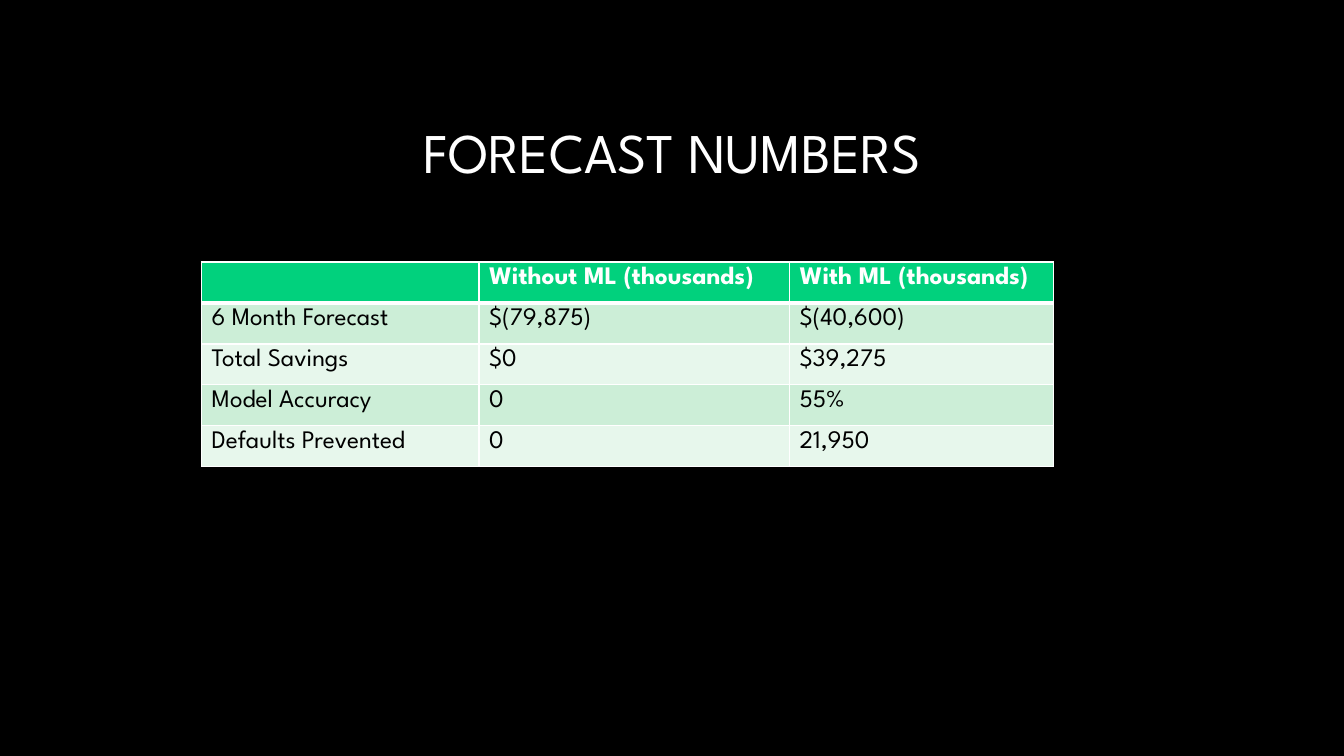
from dataclasses import dataclass

from lxml import etree
from pptx import Presentation
from pptx import util as u
from pptx.dml import color as c
from pptx.enum import text as t
from pptx.oxml import ns


@dataclass(frozen=True)
class Theme:
    """Colours, type sizes and line widths of the slide."""
    face: str = "League Spartan"
    back: str = "000000"
    ink: str = "000000"
    light: str = "FFFFFF"
    head: str = "01D17D"
    bands: tuple = ("CCEED7", "E7F7EC")
    title: int = 40
    body: int = 18
    thin: int = 1
    thick: int = 3


THEME = Theme()
TITLE = "FORECAST NUMBERS"
WIDTHS = (2.75, 3.08, 2.62)
ROWS = (
    ("", "Without ML (thousands)", "With ML (thousands)"),
    ("6 Month Forecast", "$(79,875)", "$(40,600)"),
    ("Total Savings", "$0", "$39,275"),
    ("Model Accuracy", "0", "55%"),
    ("Defaults Prevented", "0", "21,950"),
)


def apply(item, values):
    """Set each attribute of item from a dict."""
    for name, value in values.items():
        setattr(item, name, value)


def paint(fill, tint):
    """Give a fill one solid colour."""
    fill.solid()
    fill.fore_color.rgb = c.RGBColor.from_string(tint)


def write(para, words, tint, size, bold=False):
    """Add one formatted run to a paragraph."""
    run = para.add_run()
    run.text = words
    apply(run.font, {"name": THEME.face, "size": u.Pt(size), "bold": bold})
    run.font.color.rgb = c.RGBColor.from_string(tint)


def edge(cell, side, width):
    """Draw one border of a cell."""
    props = cell._tc.get_or_add_tcPr()
    line = etree.SubElement(props, ns.qn(f"a:ln{side}"), w=str(u.Pt(width)))
    solid = etree.SubElement(line, ns.qn("a:solidFill"))
    etree.SubElement(solid, ns.qn("a:srgbClr"), val=THEME.light)


def add_title(slide, box):
    """Place the title in its box."""
    shape = slide.shapes.title
    apply(shape, dict(zip(("left", "top", "width", "height"), map(u.Inches, box))))
    frame = shape.text_frame
    apply(frame, {"word_wrap": True, "auto_size": t.MSO_AUTO_SIZE.NONE,
                  "vertical_anchor": t.MSO_ANCHOR.MIDDLE})
    para = frame.paragraphs[0]
    apply(para, {"alignment": t.PP_ALIGN.CENTER, "line_spacing": 0.9})
    write(para, TITLE, THEME.light, THEME.title)


def add_grid(slide, box):
    """Place the forecast table in its box."""
    grid = slide.shapes.add_table(len(ROWS), len(WIDTHS), *map(u.Inches, box)).table
    for col, width in zip(grid.columns, WIDTHS):
        col.width = u.Inches(box[2] * width / sum(WIDTHS))
    for r, row in enumerate(ROWS):
        head = r == 0
        tint = THEME.head if head else THEME.bands[(r - 1) % 2]
        widths = {"L": THEME.thin, "R": THEME.thin,
                  "T": THEME.thick if r == 1 else THEME.thin,
                  "B": THEME.thick if head else THEME.thin}
        for i, words in enumerate(row):
            cell = grid.cell(r, i)
            for side, width in widths.items():
                edge(cell, side, width)
            paint(cell.fill, tint)
            if words:
                write(cell.text_frame.paragraphs[0], words,
                      THEME.light if head else THEME.ink, THEME.body, head)


def main():
    """Build and save the slide."""
    deck = Presentation()
    apply(deck, {"slide_width": u.Inches(13.33), "slide_height": u.Inches(7.5)})
    slide = deck.slides.add_slide(deck.slide_layouts[5])
    paint(slide.background.fill, THEME.back)
    add_title(slide, (0.75, 0.84, 11.83, 1.41))
    add_grid(slide, (2, 2.6, 8.45, 2.03))
    deck.save("out.pptx")


if __name__ == "__main__":
    main()
